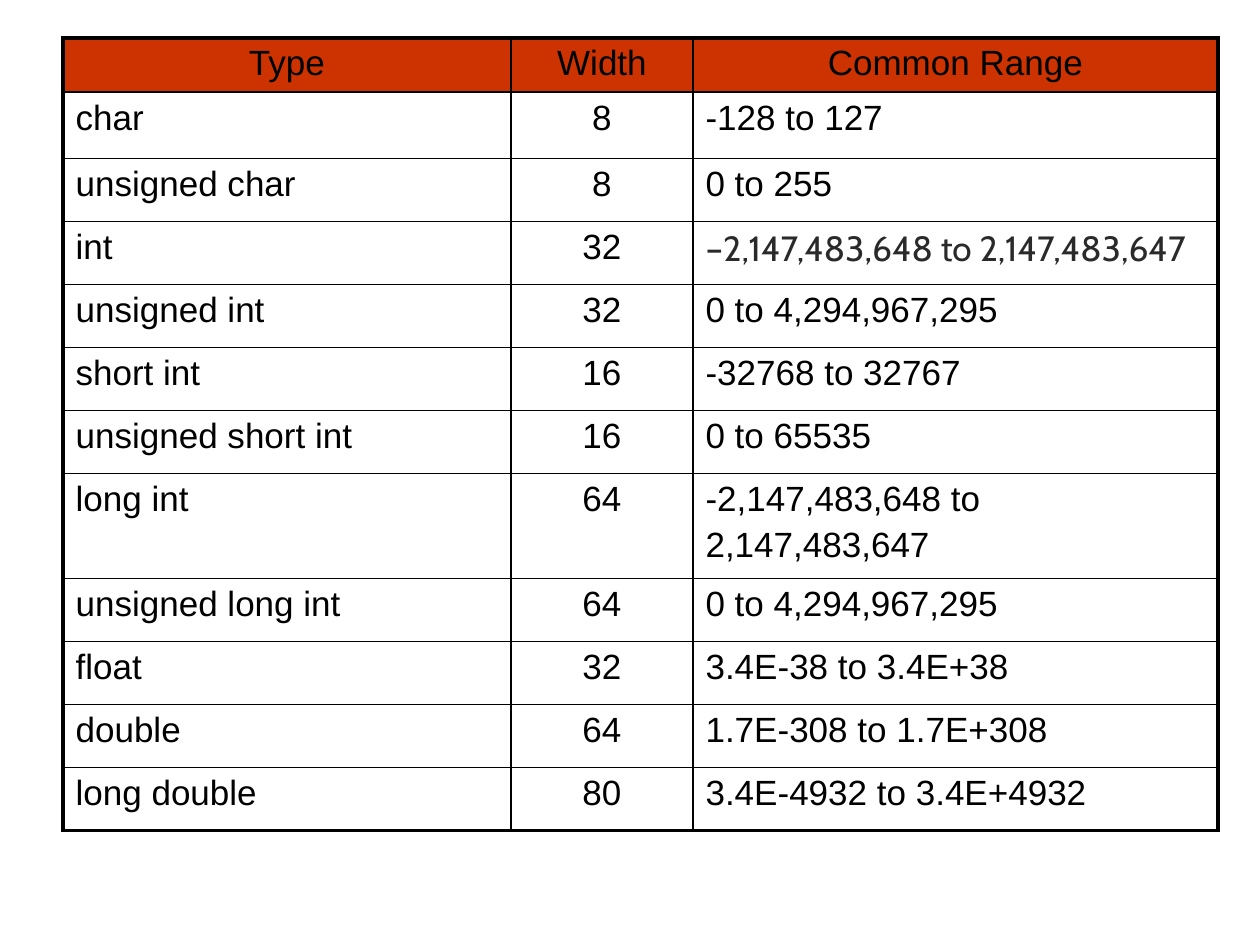
from dataclasses import dataclass

from lxml import etree
from pptx import Presentation
from pptx.dml.color import RGBColor
from pptx.enum import text
from pptx.oxml import ns
from pptx.util import Pt

BLACK = "000000"
HEADER_FILL = "CC3300"
THIN, THICK = 1, 2.25
COLUMN_WIDTHS = (256, 104, 300)
ROW_HEIGHTS = (31, 38, *[36] * 5, 60, *[36] * 4)


@dataclass
class DataType:
    name: str
    width: str
    value_range: str
    range_font: str = "Arial"
    range_color: str = BLACK


ROWS = [
    DataType("Type", "Width", "Common Range"),
    DataType("char", "8", "-128 to 127"),
    DataType("unsigned char", "8", "0 to 255"),
    DataType("int", "32", "–2,147,483,648 to 2,147,483,647", "Cabin", "2A2A2A"),
    DataType("unsigned int", "32", "0 to 4,294,967,295"),
    DataType("short int", "16", "-32768 to 32767"),
    DataType("unsigned short int", "16", "0 to 65535"),
    DataType("long int", "64", "-2,147,483,648 to\n2,147,483,647"),
    DataType("unsigned long int", "64", "0 to 4,294,967,295"),
    DataType("float", "32", "3.4E-38 to 3.4E+38"),
    DataType("double", "64", "1.7E-308 to 1.7E+308"),
    DataType("long double", "80", "3.4E-4932 to 3.4E+4932"),
]


def rgb(color: str) -> RGBColor:
    return RGBColor.from_string(color)


def add_border(cell, side: str, width: float) -> None:
    properties = cell._tc.get_or_add_tcPr()
    line = etree.SubElement(properties, ns.qn(f"a:ln{side}"), w=str(Pt(width)))
    fill = etree.SubElement(line, ns.qn("a:solidFill"))
    etree.SubElement(fill, ns.qn("a:srgbClr"), val=BLACK)


def write_cell(cell, content: str, centered: bool, font: str, color: str) -> None:
    cell.text_frame.text = content
    for index, paragraph in enumerate(cell.text_frame.paragraphs):
        paragraph.alignment = text.PP_ALIGN.CENTER if centered else text.PP_ALIGN.LEFT
        if index:
            paragraph.space_before = Pt(4)
        for run in paragraph.runs:
            run.font.name = font
            run.font.size = Pt(20)
            run.font.color.rgb = rgb(color)


def format_cell(cell, row: int, column: int) -> None:
    outer_edges = {
        "L": column == 0,
        "R": column == len(COLUMN_WIDTHS) - 1,
        "T": row == 0,
        "B": row == len(ROWS) - 1,
    }
    for side, is_outer in outer_edges.items():
        add_border(cell, side, THICK if is_outer else THIN)
    cell.margin_left = cell.margin_right = Pt(7.2)
    cell.margin_top = cell.margin_bottom = Pt(3.6)
    if row == 0:
        cell.fill.solid()
        cell.fill.fore_color.rgb = rgb(HEADER_FILL)
    else:
        cell.fill.background()


def add_type_table(slide) -> None:
    table = slide.shapes.add_table(
        len(ROWS), len(COLUMN_WIDTHS), Pt(36), Pt(21.6),
        Pt(sum(COLUMN_WIDTHS)), Pt(sum(ROW_HEIGHTS)),
    ).table
    table.first_row = table.horz_banding = False
    for column, width in zip(table.columns, COLUMN_WIDTHS):
        column.width = Pt(width)
    for row, height in zip(table.rows, ROW_HEIGHTS):
        row.height = Pt(height)
    for row, data_type in enumerate(ROWS):
        contents = (data_type.name, data_type.width, data_type.value_range)
        for column, content in enumerate(contents):
            cell = table.cell(row, column)
            is_range = column == 2
            font = data_type.range_font if is_range else "Arial"
            color = data_type.range_color if is_range else BLACK
            write_cell(cell, content, row == 0 or column == 1, font, color)
            format_cell(cell, row, column)


def main() -> None:
    presentation = Presentation()
    presentation.slide_width = Pt(720)
    presentation.slide_height = Pt(540)
    slide = presentation.slides.add_slide(presentation.slide_layouts[6])
    add_type_table(slide)
    presentation.save("out.pptx")


if __name__ == "__main__":
    main()
